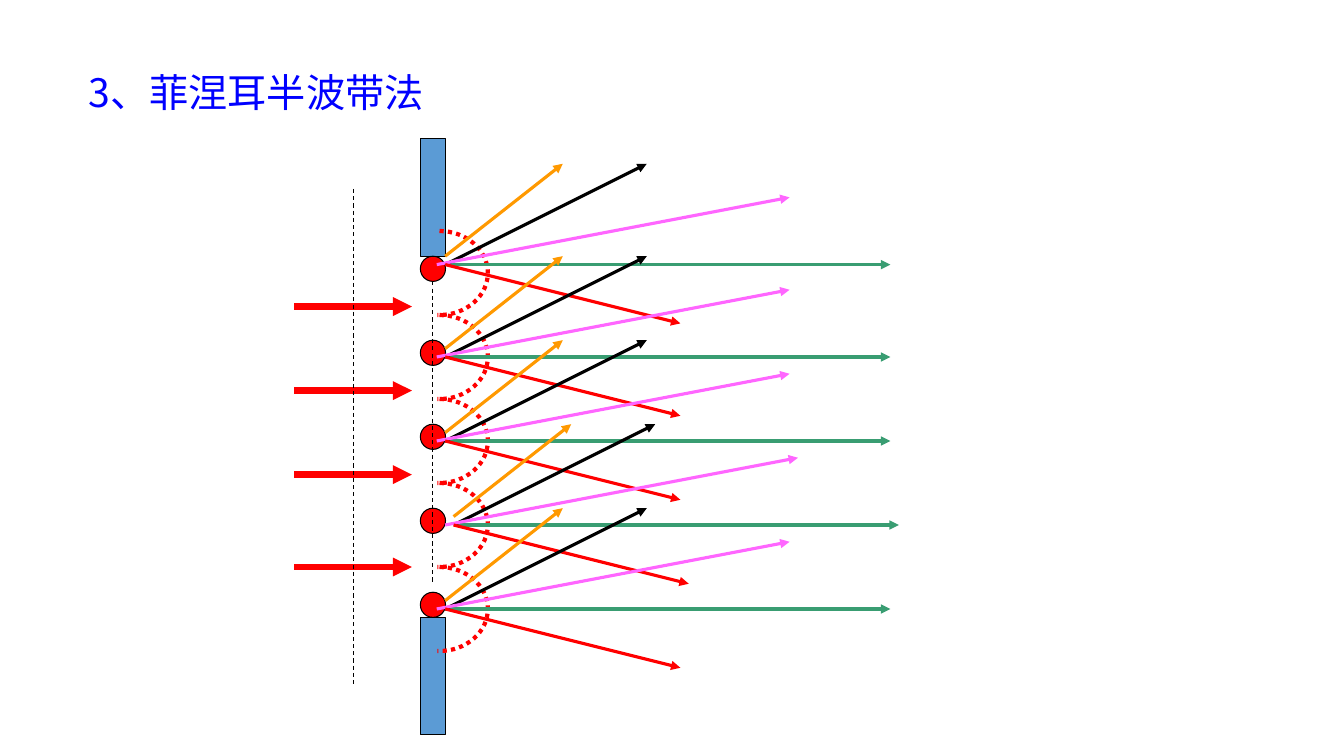
from pptx import Presentation
from pptx.dml.color import RGBColor
from pptx.enum.dml import MSO_LINE
from pptx.enum.shapes import MSO_CONNECTOR, MSO_SHAPE
from pptx.enum.text import MSO_AUTO_SIZE, PP_ALIGN
from pptx.oxml.ns import qn
from pptx.util import Pt
from lxml.etree import SubElement

TITLE = "3、菲涅耳半波带法"
THEME = {
    "font": "Noto Sans CJK SC", "title_size": 28,
    "title": "0000FF", "barrier": "5B9BD5", "red": "FF0000", "black": "000000",
    "green": "399D72", "orange": "FF9900", "pink": "FF66FF",
    "thin": 0.75, "ray": 2.25, "arc": 3, "incoming": 4.5,
}

SLIT_X, SLIT_W = 300.25, 18
BARRIER_TOPS, BARRIER_H = (99, 441), 84
SOURCE_TOP, SOURCE_STEP, SOURCE_COUNT = 183, 60, 5
INCOMING_YS = (219, 279, 339, 405)
RAY_ORIGINS = [(318, 189), (318, 255), (318, 315), (324, 375), (318, 435)]
RAYS = [
    ("green", (0, 0), (318, 0)),
    ("orange", (0, -6), (84, -72)),
    ("black", (0, 0), (144, -72)),
    ("pink", (-6, 0), (246, -48)),
    ("red", (0, 0), (168, 42)),
]
WAVELET_X, WAVELET_RX, WAVELET_RY = 314, 34.5, 30
WAVELET_TAIL = 1.5
BEZIER = 0.55


def color(name):
    return RGBColor.from_string(THEME[name])


def style_line(line, name, weight, dash=None):
    line.color.rgb = color(name)
    line.width = Pt(THEME[weight])
    if dash:
        line.dash_style = dash


def add_filled(shapes, kind, top, height, fill):
    sp = shapes.add_shape(kind, Pt(SLIT_X), Pt(top), Pt(SLIT_W), Pt(height))
    sp.shadow.inherit = False
    sp.fill.solid()
    sp.fill.fore_color.rgb = color(fill)
    style_line(sp.line, "black", "thin")


def add_line(shapes, start, end, name, weight, dash=None, arrow=False):
    cx = shapes.add_connector(MSO_CONNECTOR.STRAIGHT, *map(Pt, start + end))
    style_line(cx.line, name, weight, dash)
    if arrow:
        SubElement(cx.line._get_or_add_ln(), qn("a:tailEnd"), type="triangle")
    SubElement(cx._element.spPr, qn("a:effectLst"))


def add_wavelet(shapes, center_y):
    unit_points = [(0, -1), (BEZIER, -1), (1, -BEZIER), (1, 0),
                   (1, BEZIER), (BEZIER, 1), (0, 1)]
    points = [(Pt(WAVELET_X + WAVELET_RX * x), Pt(center_y + WAVELET_RY * y))
              for x, y in unit_points]
    points.append((Pt(WAVELET_X - WAVELET_TAIL), Pt(center_y + WAVELET_RY)))
    builder = shapes.build_freeform(*points[0])
    builder.add_line_segments(points[1:], close=False)
    sp = builder.convert_to_shape()
    outline = sp._element.find(".//" + qn("a:path"))
    segments = outline.findall(qn("a:lnTo"))
    for first in (0, 3):
        curve = SubElement(outline, qn("a:cubicBezTo"))
        for segment in segments[first:first + 3]:
            curve.append(segment[0])
            outline.remove(segment)
    outline.append(segments[-1])
    sp.shadow.inherit = False
    sp.fill.background()
    style_line(sp.line, "red", "arc", MSO_LINE.ROUND_DOT)


def add_title(shapes):
    tf = shapes.add_textbox(Pt(56.25), Pt(45.5), Pt(255.75), Pt(41)).text_frame
    tf.word_wrap = True
    tf.auto_size = MSO_AUTO_SIZE.SHAPE_TO_FIT_TEXT
    tf.text = TITLE
    p = tf.paragraphs[0]
    p.alignment = PP_ALIGN.JUSTIFY
    r = p.runs[0]
    r.font.size = Pt(THEME["title_size"])
    r.font.color.rgb = color("title")
    r.font.name = THEME["font"]
    SubElement(r.font._element, qn("a:ea"), typeface=THEME["font"])


def main():
    prs = Presentation()
    prs.slide_width, prs.slide_height = Pt(960), Pt(540)
    shapes = prs.slides.add_slide(prs.slide_layouts[6]).shapes
    source_tops = [SOURCE_TOP + i * SOURCE_STEP for i in range(SOURCE_COUNT)]

    add_title(shapes)
    for top in BARRIER_TOPS:
        add_filled(shapes, MSO_SHAPE.RECTANGLE, top, BARRIER_H, "barrier")
    for top in source_tops:
        add_filled(shapes, MSO_SHAPE.OVAL, top, SLIT_W, "red")
    add_line(shapes, (309.25, 201), (309.25, 417), "black", "thin", MSO_LINE.DASH)
    for y in INCOMING_YS:
        add_line(shapes, (210.25, y), (294.25, y), "red", "incoming", arrow=True)
    add_line(shapes, (252.25, 135), (252.25, 489), "black", "thin", MSO_LINE.DASH)
    for top in source_tops:
        add_wavelet(shapes, top + 12)
    for x, y in RAY_ORIGINS:
        for name, (x1, y1), (x2, y2) in RAYS:
            add_line(shapes, (x + x1, y + y1), (x + x2, y + y2), name, "ray", arrow=True)

    prs.save("out.pptx")


if __name__ == "__main__":
    main()
